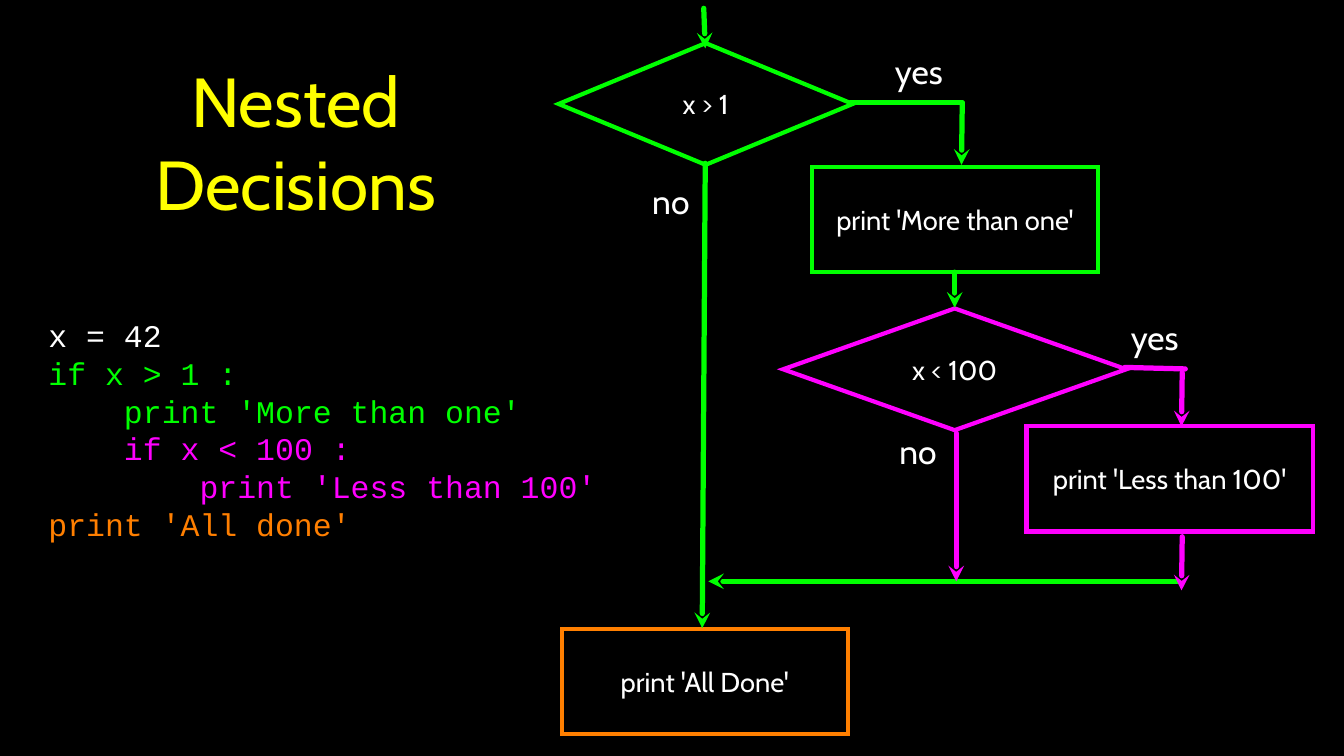
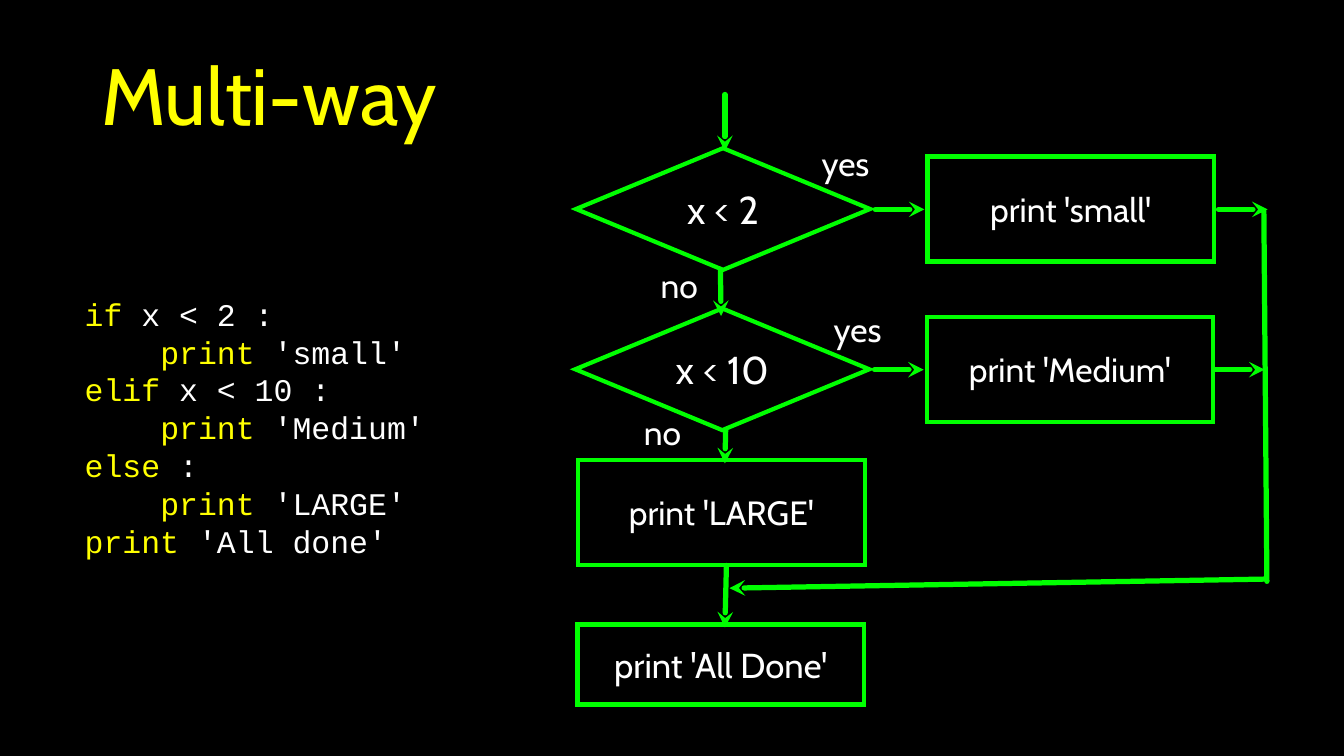
from lxml import etree
from pptx import Presentation
from pptx import util as u
from pptx.dml.color import RGBColor
from pptx.enum import shapes, text
from pptx.oxml import ns

BLACK = RGBColor(0x00, 0x00, 0x00)
WHITE = RGBColor(0xFF, 0xFF, 0xFF)
GREEN = RGBColor(0x00, 0xFF, 0x00)
MAGENTA = RGBColor(0xFF, 0x00, 0xFF)
ORANGE = RGBColor(0xFF, 0x7F, 0x00)
YELLOW = RGBColor(0xFF, 0xFF, 0x00)

BODY_FONT = "Cabin"
CODE_FONT = "Courier New"
CODE_SIZE = 30
CODE_CHARACTER = 0.25  # inches per fixed-width character at CODE_SIZE
LABEL_SIZE = 32
DIAMOND_SIZE = (3.89, 1.61)
BOX_SIZE = (3.79, 1.39)
LABEL_HEIGHT = 0.61
LABEL_WIDTHS = {"yes": 0.69, "no": 0.59}


class FlowDeck:
    """Holds the shared style and the slide being built."""

    def __init__(self):
        self.presentation = Presentation()
        self.presentation.slide_width = u.Inches(17.78)
        self.presentation.slide_height = u.Inches(10)
        fill = self.presentation.slide_master.background.fill
        fill.solid()
        fill.fore_color.rgb = BLACK
        self.slide = None

    def add_slide(self, title, position, size, points):
        layout = self.presentation.slide_layouts.get_by_name("Title Only")
        self.slide = self.presentation.slides.add_slide(layout)
        shape = self.slide.shapes.title
        shape.left, shape.top = map(u.Inches, position)
        shape.width, shape.height = map(u.Inches, size)
        frame = self.prepare_frame(shape, inset=0.04)
        self.centred_text(frame, title, points, YELLOW)

    def prepare_frame(self, shape, inset=0.0, wrap=True):
        frame = shape.text_frame
        frame.word_wrap = wrap
        frame.auto_size = text.MSO_AUTO_SIZE.NONE
        frame.vertical_anchor = text.MSO_ANCHOR.MIDDLE
        frame.margin_left = frame.margin_right = u.Inches(inset)
        frame.margin_top = frame.margin_bottom = u.Inches(inset)
        return frame

    def add_run(self, paragraph, words, points, color, font=BODY_FONT):
        run = paragraph.add_run()
        run.text = words
        run.font.name = font
        run.font.size = u.Pt(points)
        run.font.color.rgb = color

    def centred_text(self, frame, words, points, color=WHITE):
        paragraph = frame.paragraphs[0]
        paragraph.alignment = text.PP_ALIGN.CENTER
        self.add_run(paragraph, words, points, color)

    def add_node(self, kind, words, position, size, color, points):
        shape = self.slide.shapes.add_shape(kind, *map(u.Inches, position + size))
        shape.shadow.inherit = False
        shape.fill.background()
        shape.line.color.rgb = color
        shape.line.width = u.Pt(4)
        outline = shape.element.spPr.find(ns.qn("a:ln"))
        etree.SubElement(outline, ns.qn("a:miter"), lim="800000")
        self.centred_text(self.prepare_frame(shape), words, points)

    def decision(self, words, position, size=DIAMOND_SIZE, color=GREEN, points=26):
        self.add_node(shapes.MSO_SHAPE.DIAMOND, words, position, size, color, points)

    def box(self, words, position, size=BOX_SIZE, color=GREEN, points=26):
        self.add_node(shapes.MSO_SHAPE.RECTANGLE, words, position, size, color, points)

    def label(self, words, position):
        size = (LABEL_WIDTHS[words], LABEL_HEIGHT)
        shape = self.slide.shapes.add_textbox(*map(u.Inches, position + size))
        frame = self.prepare_frame(shape, wrap=False)
        self.centred_text(frame, words, LABEL_SIZE)

    def line(self, begin, end, color=GREEN):
        connector = self.slide.shapes.add_connector(
            shapes.MSO_CONNECTOR.STRAIGHT, *map(u.Inches, begin + end))
        connector.line.color.rgb = color
        connector.line.width = u.Pt(5)
        properties = connector.element.spPr
        etree.SubElement(properties, ns.qn("a:effectLst"))
        outline = properties.find(ns.qn("a:ln"))
        outline.set("cap", "rnd")
        etree.SubElement(outline, ns.qn("a:round"))
        return outline

    def arrow(self, tip, tail, color=GREEN):
        outline = self.line(tip, tail, color)
        etree.SubElement(outline, ns.qn("a:headEnd"), type="stealth")

    def code(self, position, size, lines):
        """Each line is (indent in characters, [(words, color), ...])."""
        shape = self.slide.shapes.add_textbox(*map(u.Inches, position + size))
        frame = self.prepare_frame(shape)
        for index, (indent, runs) in enumerate(lines):
            paragraph = frame.paragraphs[0] if index == 0 else frame.add_paragraph()
            paragraph.line_spacing = u.Pt(36)
            margin = u.Inches(indent * CODE_CHARACTER)
            paragraph._p.get_or_add_pPr().set("marL", str(margin))
            for words, color in runs:
                self.add_run(paragraph, words, CODE_SIZE, color, CODE_FONT)


def build_nested(deck):
    deck.add_slide("Nested Decisions", (1.28, 0.61), (5.26, 2.51), 66)

    # Decisions and actions
    deck.decision("x > 1", (7.39, 0.57))
    deck.box("print 'More than one'", (10.74, 2.21))
    deck.decision("x < 100", (10.36, 4.08), (4.54, 1.61), MAGENTA)
    deck.box("print 'Less than 100'", (13.58, 5.64), color=MAGENTA)
    deck.box("print 'All Done'", (7.43, 8.32), color=ORANGE)

    # Outer path
    deck.line((11.25, 1.36), (12.73, 1.36))
    for tip, tail in [
        ((9.33, 0.64), (9.31, 0.11)),
        ((12.72, 2.18), (12.73, 1.36)),
        ((9.29, 8.31), (9.33, 2.16)),
        ((12.63, 4.07), (12.63, 3.6)),
        ((9.37, 7.69), (15.59, 7.69)),
    ]:
        deck.arrow(tip, tail)

    # Inner path
    deck.line((14.88, 4.86), (15.68, 4.88), MAGENTA)
    for tip, tail in [
        ((15.63, 5.64), (15.64, 4.93)),
        ((12.65, 7.69), (12.65, 5.73)),
        ((15.63, 7.81), (15.64, 7.1)),
    ]:
        deck.arrow(tip, tail, MAGENTA)

    # Branch labels
    deck.label("yes", (11.81, 0.63))
    deck.label("yes", (14.93, 4.16))
    deck.label("no", (11.85, 5.66))
    deck.label("no", (8.58, 2.35))

    # Code
    deck.code((0.64, 3.86), (7.38, 3.64), [
        (0, [("x = 42", WHITE)]),
        (0, [("if x > 1 :", GREEN)]),
        (4, [("print 'More than one'", GREEN)]),
        (4, [("if x < 100 :", MAGENTA)]),
        (8, [("print 'Less than 100'", MAGENTA)]),
        (0, [("print 'All done'", ORANGE)]),
    ])


def build_multi_way(deck):
    deck.add_slide("Multi-way", (0.61, 0.33), (5.9, 1.81), 76)

    # Code: keyword in yellow, the rest in white
    statements = [
        (0, "if", " x < 2 :"),
        (4, "print", " 'small'"),
        (0, "elif", " x < 10 :"),
        (4, "print", " 'Medium'"),
        (0, "else", " :"),
        (4, "print", " 'LARGE'"),
        (0, "print", " 'All done'"),
    ]
    deck.code((1.12, 3.21), (5.58, 4.88), [
        (indent, [(keyword, YELLOW), (rest, WHITE)])
        for indent, keyword, rest in statements
    ])

    # One row per tested branch
    branches = [
        ("x < 2", "print 'small'", 7.62, (10.84, 1.85)),
        ("x < 10", "print 'Medium'", 7.61, (11, 4.05)),
    ]
    for row, (test, action, left, label_position) in enumerate(branches):
        top = 1.96 + 2.12 * row
        middle = top + 0.81
        deck.decision(test, (left, top), points=37)
        deck.box(action, (left + 4.65, top + 0.11), points=32)
        deck.arrow((left + 4.61, middle), (left + 3.96, middle))
        deck.arrow((16.77 - 0.04 * row, middle), (16.12 - 0.04 * row, middle))
        deck.label("yes", label_position)

    # Fallback and end
    deck.box("print 'LARGE'", (7.65, 6.08), points=32)
    deck.box("print 'All Done'", (7.64, 8.26), (3.79, 1.06), points=33)

    # Downward path and return line
    for tip, tail in [
        ((9.59, 2), (9.59, 1.25)),
        ((9.54, 4.18), (9.53, 3.56)),
        ((9.59, 6.13), (9.6, 5.69)),
        ((9.59, 8.3), (9.61, 7.48)),
        ((9.65, 7.78), (16.74, 7.66)),
    ]:
        deck.arrow(tip, tail)
    deck.line((16.76, 7.69), (16.72, 2.79))
    deck.label("no", (8.69, 3.47))
    deck.label("no", (8.47, 5.41))


def main():
    deck = FlowDeck()
    build_nested(deck)
    build_multi_way(deck)
    deck.presentation.save("out.pptx")


if __name__ == "__main__":
    main()
